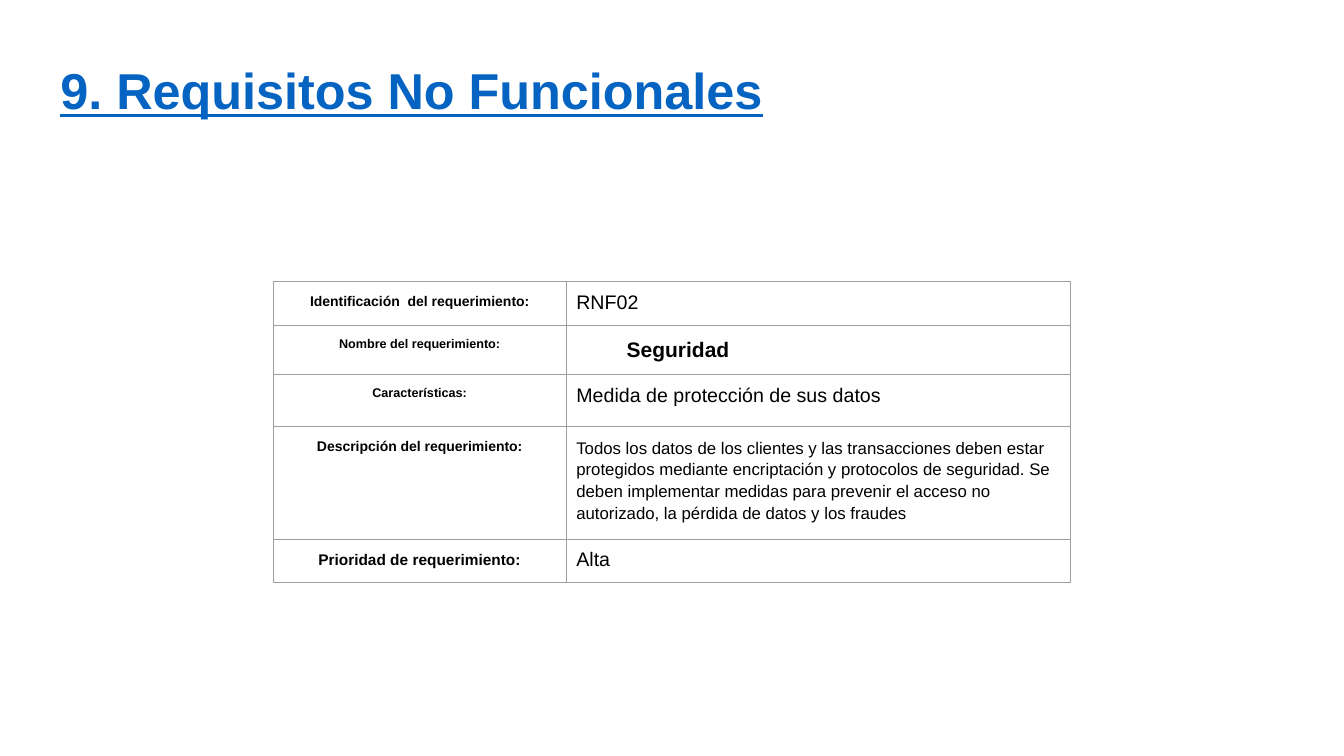
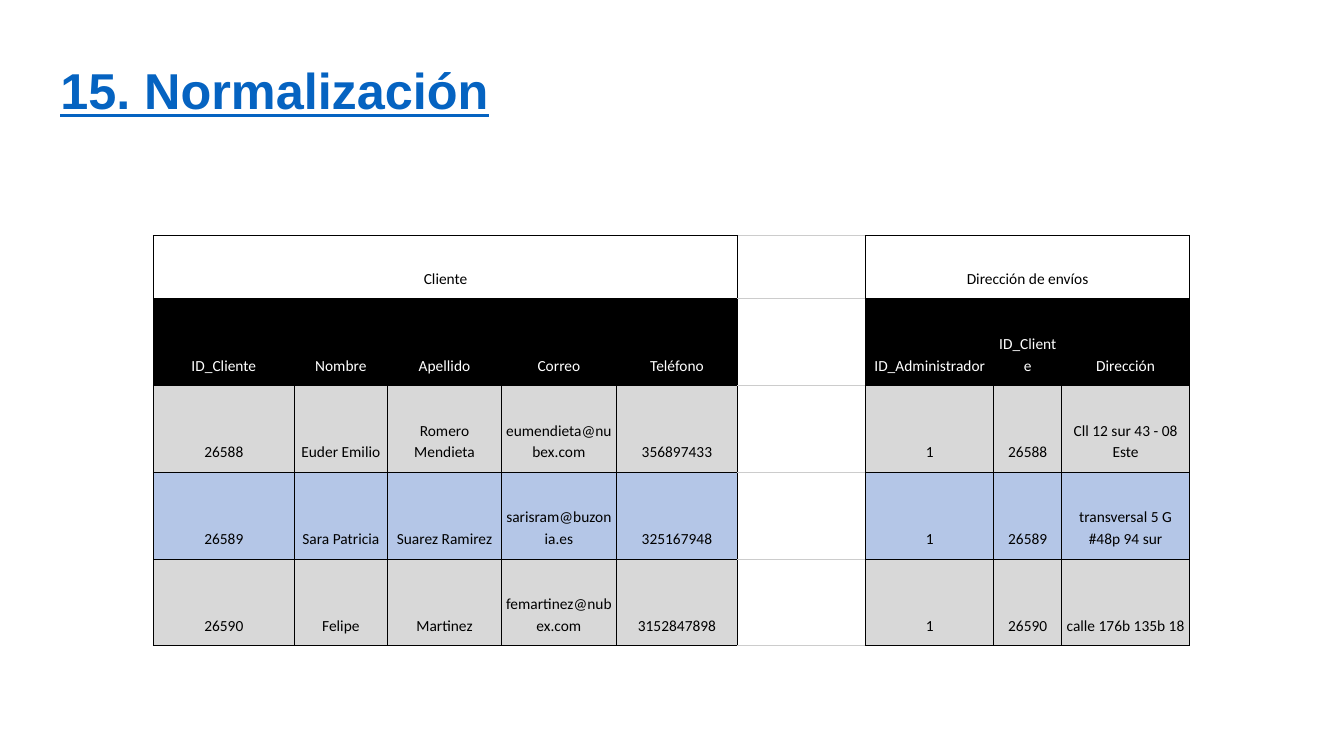
from dataclasses import dataclass

from lxml import etree
from pptx import Presentation
from pptx.dml.color import RGBColor
from pptx.enum.text import MSO_ANCHOR, PP_ALIGN
from pptx.oxml.ns import qn
from pptx.util import Pt

LEFT, CENTER = PP_ALIGN.LEFT, PP_ALIGN.CENTER
TOP, MIDDLE, BOTTOM = MSO_ANCHOR.TOP, MSO_ANCHOR.MIDDLE, MSO_ANCHOR.BOTTOM


@dataclass(frozen=True)
class Theme:
    title_font: str = "Arial"
    form_font: str = "Arial"
    data_font: str = "Calibri"
    title_size: float = 36
    value_size: float = 14
    name_size: float = 15
    description_size: float = 12
    data_size: float = 11
    line_spacing: float = 1.15
    border_width: float = 0.75
    link: str = "0563C1"
    black: str = "000000"
    white: str = "FFFFFF"
    form_border: str = "9E9E9E"
    gap_border: str = "CCCCCC"
    gray_row: str = "D8D8D8"
    blue_row: str = "B4C6E7"


class Deck:
    def __init__(self, theme):
        self.theme = theme
        self.presentation = Presentation()
        self.presentation.slide_width = Pt(960)
        self.presentation.slide_height = Pt(540)
        self.slide = None

    def add_slide(self, title, title_width):
        layout = self.presentation.slide_layouts[6]
        self.slide = self.presentation.slides.add_slide(layout)
        shape = self.slide.shapes.add_textbox(Pt(36), Pt(8.6), Pt(title_width), Pt(104.4))
        frame = shape.text_frame
        frame.word_wrap = True
        frame.vertical_anchor = MIDDLE
        frame.margin_top = Pt(10)
        paragraph = frame.paragraphs[0]
        self.set_text(paragraph, title, self.theme.title_font, self.theme.title_size,
                      self.theme.link, bold=True)
        paragraph.font.underline = True

    def set_text(self, paragraph, text, font, size, color, bold=False, align=LEFT,
                 spacing=None, indent=0):
        paragraph.text = text
        paragraph.alignment = align
        if spacing:
            paragraph.line_spacing = spacing
        if indent:
            paragraph._p.get_or_add_pPr().set("marL", str(Pt(indent)))
        paragraph.font.name = font
        paragraph.font.size = Pt(size)
        paragraph.font.bold = bold
        paragraph.font.color.rgb = RGBColor.from_string(color)

    def add_table(self, left, top, widths, heights):
        table = self.slide.shapes.add_table(
            len(heights), len(widths), Pt(left), Pt(top),
            Pt(sum(widths)), Pt(sum(heights))).table
        table.first_row = False
        table.horz_banding = False
        for column, width in zip(table.columns, widths):
            column.width = Pt(width)
        for row, height in zip(table.rows, heights):
            row.height = Pt(height)
        return table

    def style_cell(self, cell, sides, ends, fill=None, margin=7.2, anchor=TOP):
        properties = cell._tc.get_or_add_tcPr()
        for tag, color in (("lnL", sides), ("lnR", sides), ("lnT", ends), ("lnB", ends)):
            line = etree.SubElement(properties, qn(f"a:{tag}"),
                                    w=str(Pt(self.theme.border_width)))
            solid = etree.SubElement(line, qn("a:solidFill"))
            etree.SubElement(solid, qn("a:srgbClr"), val=color)
        if fill:
            cell.fill.solid()
            cell.fill.fore_color.rgb = RGBColor.from_string(fill)
        else:
            cell.fill.background()
        cell.margin_left = cell.margin_right = Pt(margin)
        cell.margin_top = cell.margin_bottom = Pt(7.2)
        cell.vertical_anchor = anchor

    def add_form(self, left, top, widths, heights, rows):
        theme = self.theme
        table = self.add_table(left, top, widths, heights)
        for index, (label, label_size, value, options) in enumerate(rows):
            label_cell, value_cell = table.cell(index, 0), table.cell(index, 1)
            for cell in (label_cell, value_cell):
                self.style_cell(cell, theme.form_border, theme.form_border)
            self.set_text(label_cell.text_frame.paragraphs[0], label, theme.form_font,
                          label_size, theme.black, bold=True, align=CENTER,
                          spacing=theme.line_spacing)
            style = {"size": theme.value_size, **options}
            self.set_text(value_cell.text_frame.paragraphs[0], value, theme.form_font,
                          color=theme.black, **style)

    def add_data_table(self, left, top, widths, heights, rows, fills, gap, groups):
        theme = self.theme
        table = self.add_table(left, top, widths, heights)
        for row_index, (values, fill) in enumerate(zip(rows, fills)):
            color = theme.white if fill == theme.black else theme.black
            for column_index, value in enumerate(values):
                cell = table.cell(row_index, column_index)
                is_gap = column_index == gap
                self.style_cell(cell, theme.black,
                                theme.gap_border if is_gap else theme.black,
                                theme.white if is_gap else fill,
                                margin=2.25, anchor=BOTTOM)
                if value:
                    self.set_text(cell.text_frame.paragraphs[0], value, theme.data_font,
                                  theme.data_size, color, align=CENTER,
                                  spacing=theme.line_spacing)
        for first, last in groups:
            table.cell(0, first).merge(table.cell(0, last))


def add_requirements(deck):
    theme = deck.theme
    deck.add_slide("9. Requisitos No Funcionales", 908.6)
    name_style = {"size": theme.name_size, "bold": True, "indent": 36,
                  "spacing": theme.line_spacing}
    description_style = {"size": theme.description_size, "spacing": theme.line_spacing}
    deck.add_form(195, 201, [209.5, 360.5], [30, 30, 37, 57, 30], [
        ("Identificación  del requerimiento:", 10, "RNF02", {}),
        ("Nombre del requerimiento:", 9, "Seguridad", name_style),
        ("Características:", 9, "Medida de protección de sus datos", {}),
        ("Descripción del requerimiento:", 10,
         "Todos los datos de los clientes y las transacciones deben estar protegidos "
         "mediante encriptación y protocolos de seguridad. Se deben implementar medidas "
         "para prevenir el acceso no autorizado, la pérdida de datos y los fraudes",
         description_style),
        ("Prioridad de requerimiento:", 11, "Alta", {}),
    ])


def add_normalization(deck):
    theme = deck.theme
    deck.add_slide("15. Normalización", 828)
    rows = [
        ["Cliente", "", "", "", "", "", "Dirección de envíos", "", ""],
        ["ID_Cliente", "Nombre", "Apellido", "Correo", "Teléfono", "",
         "ID_Administrador", "ID_Cliente", "Dirección"],
        ["26588", "Euder Emilio", "Romero Mendieta", "eumendieta@nubex.com", "356897433", "",
         "1", "26588", "Cll 12 sur 43 - 08 Este"],
        ["26589", "Sara Patricia", "Suarez Ramirez", "sarisram@buzonia.es", "325167948", "",
         "1", "26589", "transversal 5 G #48p 94 sur"],
        ["26590", "Felipe", "Martinez", "femartinez@nubex.com", "3152847898", "",
         "1", "26590", "calle 176b 135b 18"],
    ]
    fills = [None, theme.black, theme.gray_row, theme.blue_row, theme.gray_row]
    deck.add_data_table(109.5, 168.3, [100.8, 66.4, 81.7, 81.7, 87, 91.4, 91.4, 48.5, 91.4],
                        [45] + [62] * 4, rows, fills, gap=5, groups=[(0, 4), (6, 8)])


def main():
    deck = Deck(Theme())
    add_requirements(deck)
    add_normalization(deck)
    deck.presentation.save("out.pptx")


if __name__ == "__main__":
    main()
